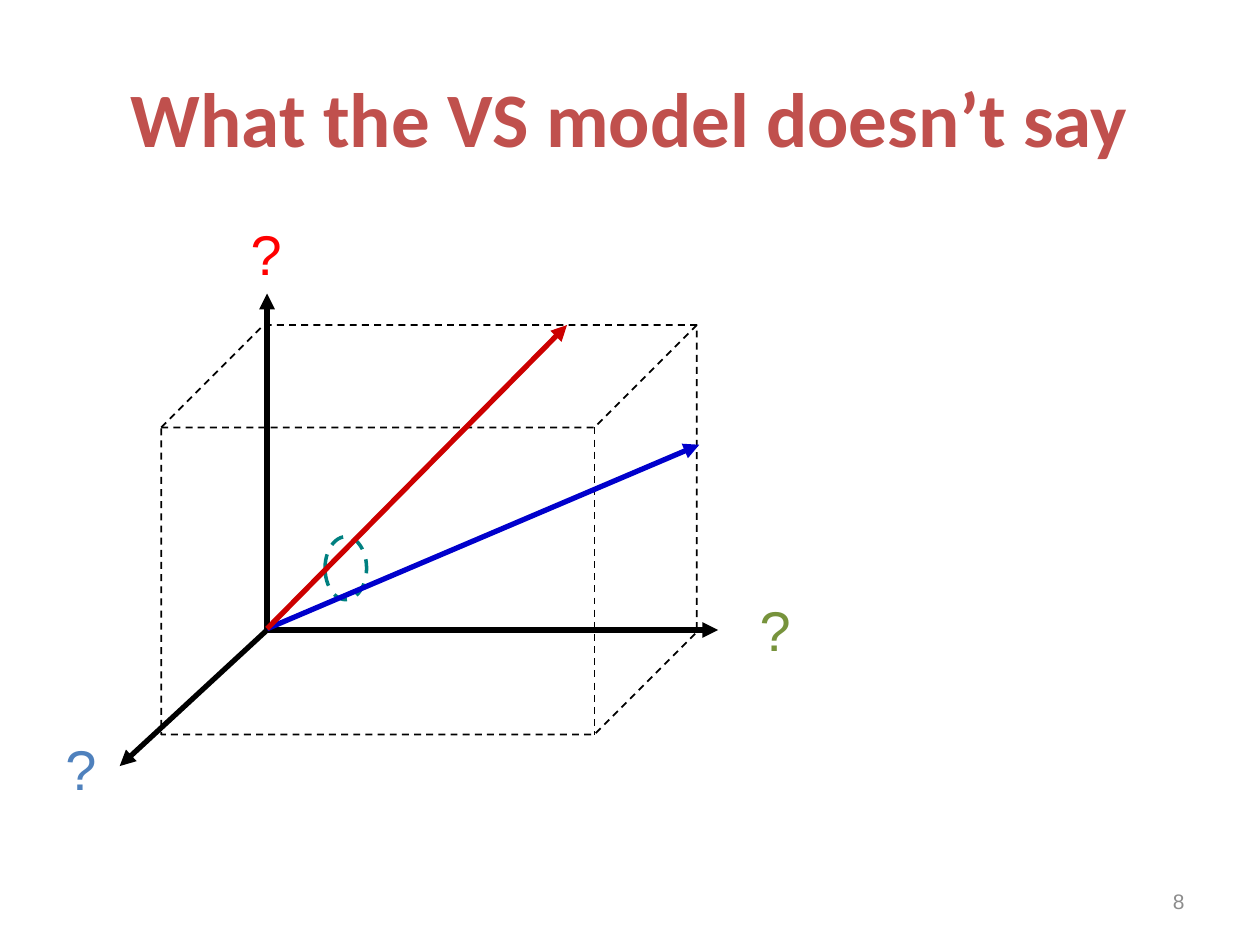
from lxml import etree
from pptx import Presentation
from pptx import util as u
from pptx.dml.color import RGBColor
from pptx.enum import dml, shapes, text
from pptx.oxml.ns import qn

COLORS = {
    "title": "C0504D", "number": "8C8C8C", "axis": "000000",
    "up": "FF0000", "front": "4F81BD", "right": "77933C",
    "angle": "008080", "blue": "0000CC", "red": "CC0000",
}
WIDTH, HEIGHT = 10, 7.5
CENTER, RIGHT, LEFT = text.PP_ALIGN.CENTER, text.PP_ALIGN.RIGHT, text.PP_ALIGN.LEFT


class Deck:
    """Lengths are columns and rows of a one-inch grid."""

    def __init__(self):
        self.prs = Presentation()
        self.prs.slide_width, self.prs.slide_height = u.Inches(WIDTH), u.Inches(HEIGHT)
        self.s = self.prs.slides.add_slide(self.prs.slide_layouts[6])

    def color(self, name):
        return RGBColor.from_string(COLORS[name])

    def label(self, words, box, size, color, font="Arial", bold=False,
              align=LEFT, anchor=text.MSO_ANCHOR.MIDDLE, wrap=True):
        sp = self.s.shapes.add_textbox(*map(u.Inches, box))
        tf = sp.text_frame
        tf.word_wrap, tf.vertical_anchor = wrap, anchor
        p = tf.paragraphs[0]
        p.text, p.alignment = words, align
        p.font.name, p.font.size, p.font.bold = font, u.Pt(size), bold
        p.font.color.rgb = self.color(color)

    def outline(self, kind, box, color, width):
        """Add an unfilled shape with a dashed line."""
        sp = self.s.shapes.add_shape(kind, *map(u.Inches, box))
        sp.shadow.inherit = False
        sp.fill.background()
        sp.line.color.rgb, sp.line.width = self.color(color), u.Pt(width)
        sp.line.dash_style = dml.MSO_LINE.DASH
        return sp

    def arrow(self, start, end, color):
        c = self.s.shapes.add_connector(
            shapes.MSO_CONNECTOR.STRAIGHT, *map(u.Inches, (*start, *end)))
        c.line.color.rgb, c.line.width = self.color(color), u.Pt(3)
        etree.SubElement(c.line._get_or_add_ln(), qn("a:tailEnd"), type="triangle")
        etree.SubElement(c._element.spPr, qn("a:effectLst"))


def main():
    deck = Deck()
    deck.label("What the VS model doesn’t say", (0.5, 0.3, 9, 1.25), 44, "title",
               font="Calibri", bold=True, align=CENTER)
    deck.label("8", (7.17, 6.95, 2.33, 0.4), 12, "number", align=RIGHT)

    cube = deck.outline(shapes.MSO_SHAPE.CUBE, (1.28, 2.58, 4.25, 3.25), "axis", 1)
    cube.adjustments[0] = 0.25
    origin = (2.12, 5)
    for end in ((0.95, 6.08), (5.7, 5), (2.12, 2.33)):
        deck.arrow(origin, end, "axis")
    for x, y, color in ((1.89, 1.69, "up"), (0.42, 5.78, "front"), (5.93, 4.68, "right")):
        deck.label("?", (x, y, 0.45, 0.64), 32, color,
                   anchor=text.MSO_ANCHOR.TOP, wrap=False)

    deck.outline(shapes.MSO_SHAPE.OVAL, (2.58, 4.26, 0.33, 0.5), "angle", 2)
    for end, color in (((5.55, 3.53), "blue"), ((4.5, 2.58), "red")):
        deck.arrow((2.12, 4.99), end, color)

    deck.prs.save("out.pptx")


if __name__ == "__main__":
    main()
